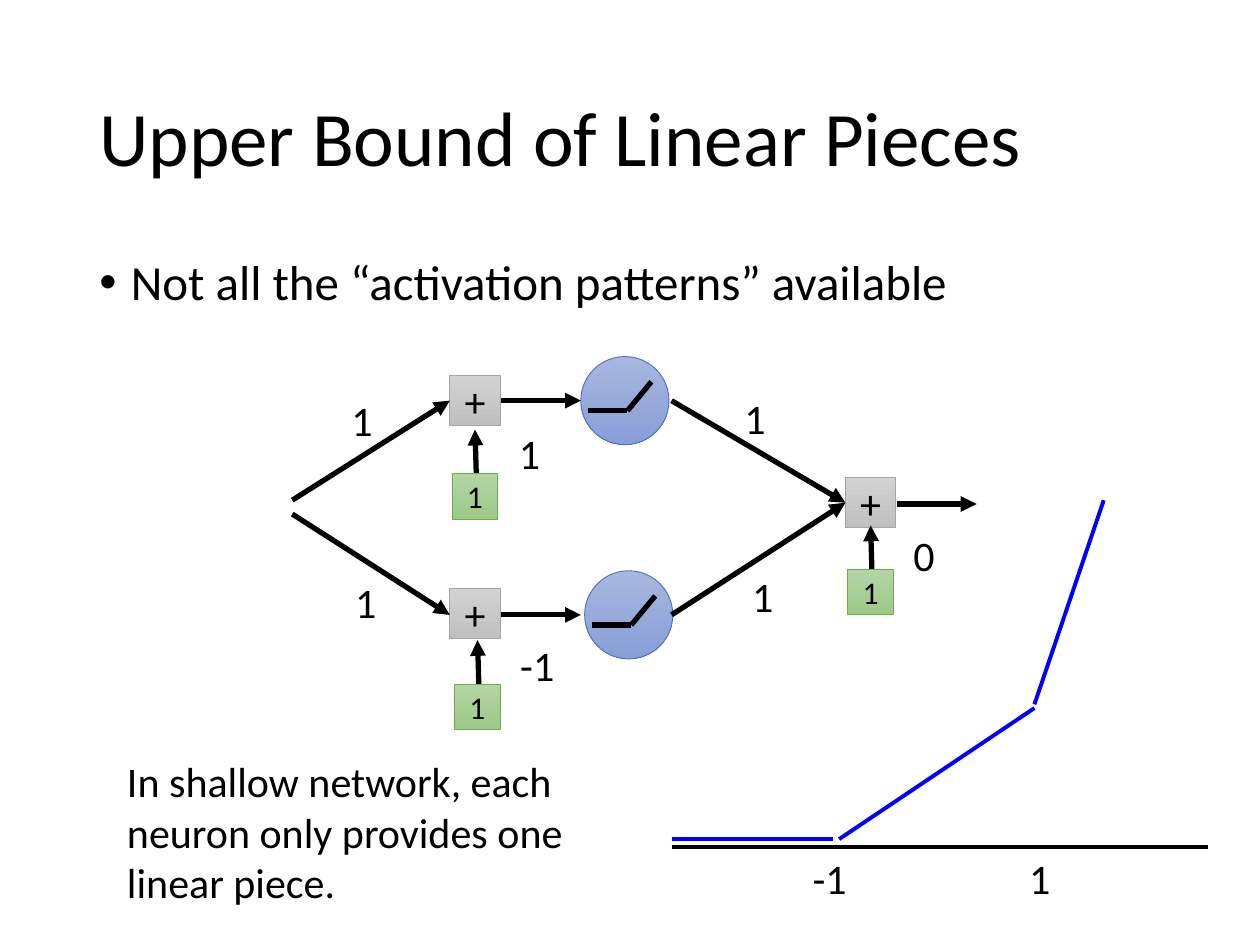
from dataclasses import dataclass

from lxml import etree
from pptx import Presentation
from pptx.dml.color import RGBColor
from pptx.enum.shapes import MSO_CONNECTOR, MSO_SHAPE
from pptx.enum.text import MSO_ANCHOR, PP_ALIGN
from pptx.oxml.ns import qn
from pptx.util import Emu, Pt

STRAIGHT = MSO_CONNECTOR.STRAIGHT
RECTANGLE = MSO_SHAPE.RECTANGLE
OVAL = MSO_SHAPE.OVAL
TOP = MSO_ANCHOR.TOP
MIDDLE = MSO_ANCHOR.MIDDLE
CENTER = PP_ALIGN.CENTER

PX_PER_INCH = 100
EMU_PER_PX = 914400 // PX_PER_INCH


@dataclass(frozen=True)
class Theme:
    font: str = "Calibri"
    ink: str = "000000"
    curve: str = "0000FF"
    sum_node: tuple = ("D2D2D2", "C0C0C0", "A5A5A5")
    activation: tuple = ("A8B7DF", "889ED7", "4472C4")
    bias: tuple = ("B5D5A7", "9CC987", "70AD47")
    title_size: float = 44
    body_size: float = 28
    label_size: float = 24
    bias_size: float = 18
    outline: float = 0.5
    arrow: float = 3
    plot_line: float = 2.25


THEME = Theme()
SUM_SIDE = 40
BIAS_SIDE = 36
BIAS_ARROW = 35
CIRCLE_SIDE = 70

NEURONS = [
    ((357, 298), (359, 376)),
    ((357, 467), (361, 543)),
    ((671, 379), (673, 452)),
]
ACTIVATIONS = [(461, 283), (464, 453)]
ARROWS = [
    ((232, 397), (357, 318)),
    ((232, 408), (357, 488)),
    ((398, 318), (461, 318)),
    ((398, 488), (461, 488)),
    ((712, 400), (775, 400)),
    ((533, 318), (671, 399)),
    ((533, 488), (671, 399)),
]
LABELS = [
    ("1", 269, 308),
    ("1", 272, 453),
    ("1", 402, 334),
    ("-1", 403, 503),
    ("1", 581, 307),
    ("1", 587, 448),
    ("0", 715, 415),
    ("-1", 635, 672),
    ("1", 807, 672),
]
CURVE = [
    ((533, 666), (661, 666)),
    ((666, 666), (821, 562)),
    ((821, 559), (876, 397)),
]


def px(value):
    return Emu(round(value * EMU_PER_PX))


def write(shape, text, size, anchor=TOP):
    frame = shape.text_frame
    frame.word_wrap = True
    frame.vertical_anchor = anchor
    paragraph = frame.paragraphs[0]
    paragraph.text = text
    paragraph.font.name = THEME.font
    paragraph.font.size = Pt(size)
    paragraph.font.color.rgb = RGBColor.from_string(THEME.ink)
    return paragraph


def add_text(slide, text, box, size, anchor=TOP):
    shape = slide.shapes.add_textbox(*map(px, box))
    return write(shape, text, size, anchor)


def add_bullet(slide, text, box):
    paragraph = add_text(slide, text, box, THEME.body_size)
    properties = paragraph._p.get_or_add_pPr()
    properties.set("marL", str(px(25)))
    properties.set("indent", str(px(-25)))
    bullet_font = etree.SubElement(properties, qn("a:buFont"))
    bullet_font.set("typeface", "Arial")
    etree.SubElement(properties, qn("a:buChar")).set("char", "•")
    paragraph.line_spacing = 0.9


def add_node(slide, kind, corner, side, colors, text="", size=THEME.label_size):
    left, top = corner
    shape = slide.shapes.add_shape(kind, px(left), px(top), px(side), px(side))
    shape.shadow.inherit = False
    shape.fill.gradient()
    shape.fill.gradient_angle = 270
    for stop, color in zip(shape.fill.gradient_stops, colors):
        stop.color.rgb = RGBColor.from_string(color)
    shape.line.color.rgb = RGBColor.from_string(colors[-1])
    shape.line.width = Pt(THEME.outline)
    if text:
        write(shape, text, size, MIDDLE).alignment = CENTER


def add_line(slide, start, end, color=THEME.ink, width=THEME.arrow, arrow=False):
    line = slide.shapes.add_connector(STRAIGHT, *map(px, (*start, *end)))
    line.line.color.rgb = RGBColor.from_string(color)
    line.line.width = Pt(width)
    etree.SubElement(line._element.spPr, qn("a:effectLst"))
    if arrow:
        outline = line.line._get_or_add_ln()
        etree.SubElement(outline, qn("a:tailEnd")).set("type", "triangle")


def add_neuron(slide, sum_corner, bias_corner):
    left, top = bias_corner
    center = left + BIAS_SIDE // 2 + 1
    add_node(slide, RECTANGLE, sum_corner, SUM_SIDE, THEME.sum_node, "+")
    add_line(slide, (center, top), (center - 1, top - BIAS_ARROW), arrow=True)
    add_node(slide, RECTANGLE, bias_corner, BIAS_SIDE, THEME.bias, "1", THEME.bias_size)


def add_activation(slide, corner):
    left, top = corner
    add_node(slide, OVAL, corner, CIRCLE_SIDE, THEME.activation)
    knee = (left + 37, top + 43)
    add_line(slide, (left + 6, top + 43), knee)
    add_line(slide, knee, (left + 56, top + 20))


def add_plot(slide):
    add_line(slide, (533, 672), (959, 672), width=THEME.plot_line)
    for start, end in CURVE:
        add_line(slide, start, end, THEME.curve, THEME.plot_line)


def main():
    presentation = Presentation()
    presentation.slide_width = px(1000)
    presentation.slide_height = px(750)
    slide = presentation.slides.add_slide(presentation.slide_layouts[6])

    title = add_text(slide, "Upper Bound of Linear Pieces", (69, 40, 862, 145),
                     THEME.title_size, MIDDLE)
    title.line_spacing = 0.9
    add_bullet(slide, "Not all the “activation patterns” available", (69, 200, 862, 476))

    for sum_corner, bias_corner in NEURONS:
        add_neuron(slide, sum_corner, bias_corner)
    for corner in ACTIVATIONS:
        add_activation(slide, corner)
    for start, end in ARROWS:
        add_line(slide, start, end, arrow=True)
    for text, left, top in LABELS:
        add_text(slide, text, (left, top, 48, 50), THEME.label_size)

    add_plot(slide)
    add_text(slide, "In shallow network, each neuron only provides one linear piece.",
             (91, 595, 377, 131), THEME.label_size)
    presentation.save("out.pptx")


if __name__ == "__main__":
    main()
